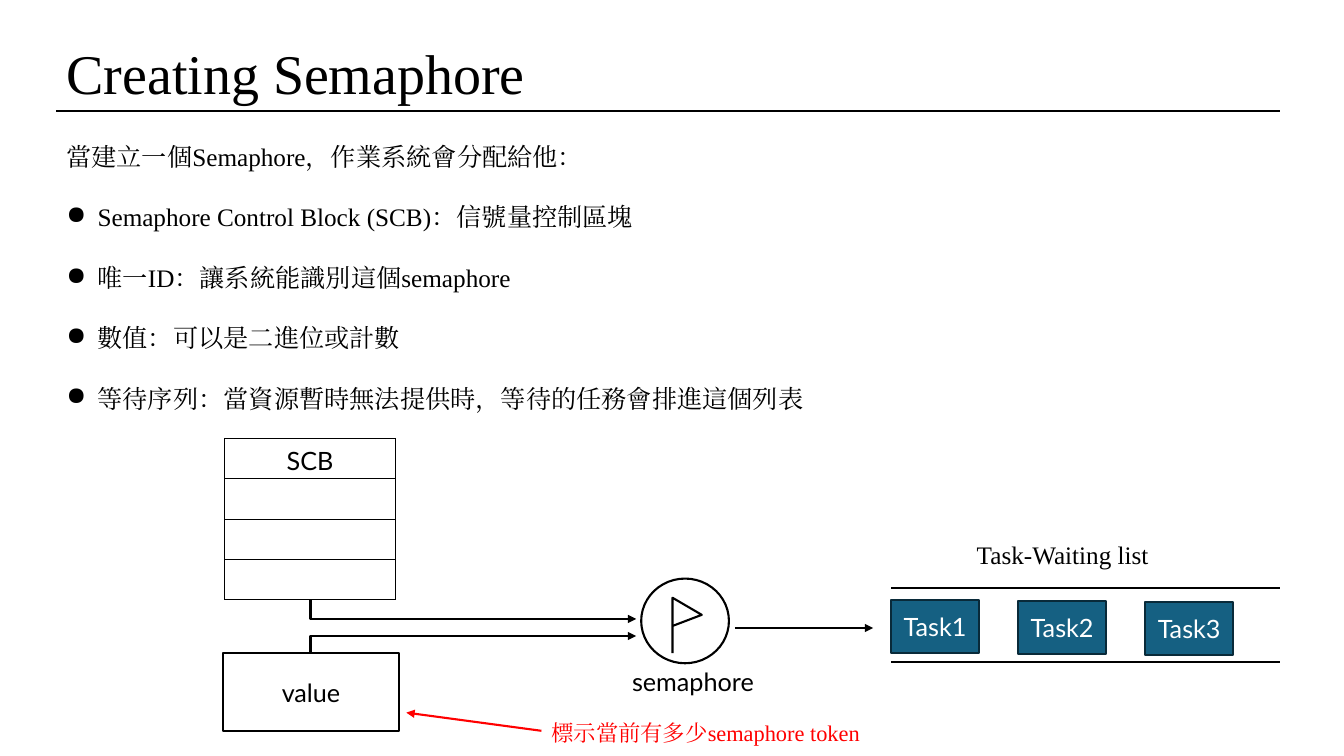
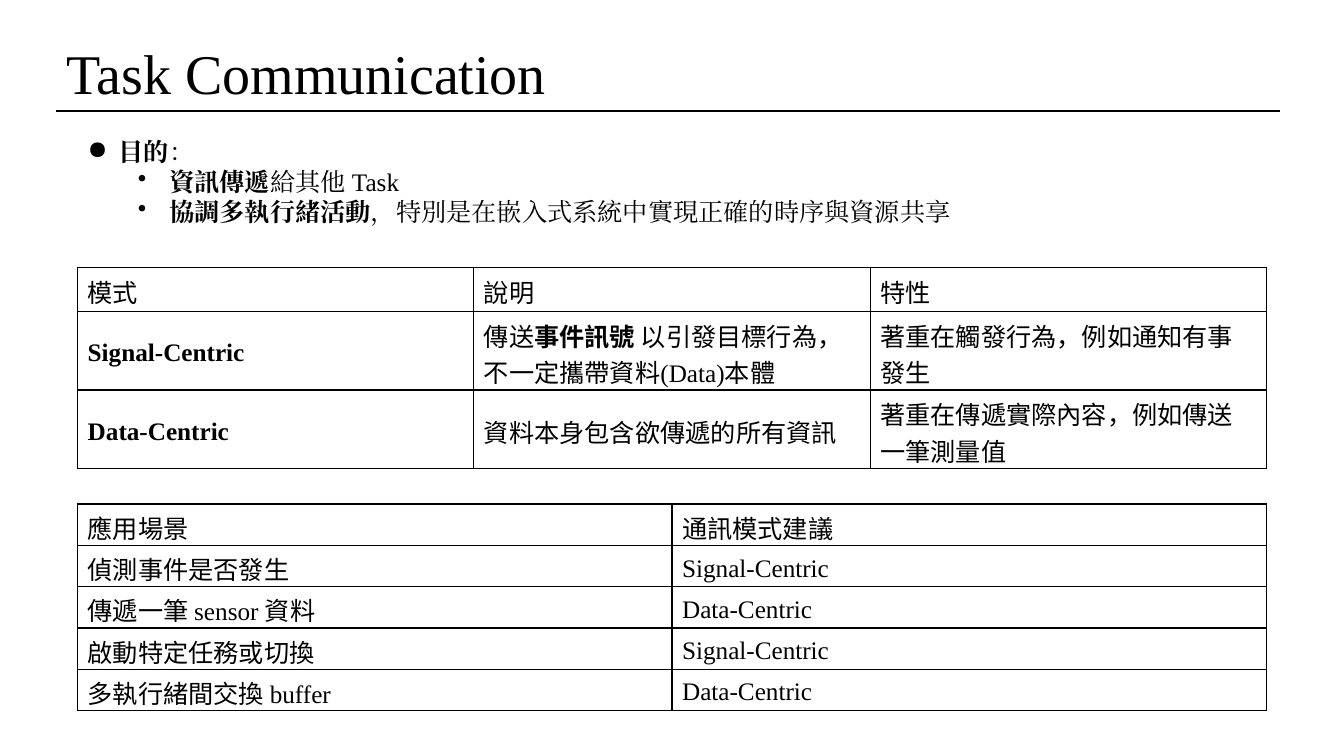
from lxml.etree import SubElement
from pptx import Presentation
from pptx.dml.color import RGBColor
from pptx.enum.shapes import MSO_CONNECTOR, MSO_SHAPE
from pptx.enum.text import MSO_ANCHOR, MSO_AUTO_SIZE, PP_ALIGN
from pptx.oxml.ns import qn
from pptx.util import Inches, Pt

BLACK, WHITE, RED = "000000", "FFFFFF", "FF0000"
TASK_FILL, TASK_EDGE = "156082", "092A39"
SERIF, SANS, CJK = "Times New Roman", "Lato", "Noto Sans CJK SC"
LINE_WIDTH = 1.5
LEFT, RIGHT, RULE_Y = 0.56, 12.7, 1.1
LINE_FACTOR = 1.2


def rgb(value):
    return RGBColor.from_string(value)


def write(frame, lines, size=18, font=SERIF, color=BLACK, align=PP_ALIGN.LEFT, east_asian=SERIF):
    """Fill a text frame; a part of a line between ** marks is bold."""
    frame.word_wrap = True
    for index, line in enumerate(lines):
        para = frame.paragraphs[0] if index == 0 else frame.add_paragraph()
        para.alignment = align
        for position, part in enumerate(line.split("**")):
            if not part:
                continue
            span = para.add_run()
            span.text = part
            span.font.size = Pt(size)
            span.font.bold = position % 2 == 1
            span.font.color.rgb = rgb(color)
            span.font.name = font
            SubElement(span.font._element, qn("a:ea"), typeface=east_asian)


def add_text(shapes, box, lines, **style):
    frame = shapes.add_textbox(*map(Inches, box)).text_frame
    write(frame, lines, **style)
    return frame


def space_lines(para, size=18, after=0):
    para.line_spacing = Pt(size * LINE_FACTOR)
    para.space_after = Pt(after)


def add_bullet(para, char, indent, hanging=0.31):
    props = para._p.get_or_add_pPr()
    props.set("marL", str(Inches(indent)))
    props.set("indent", str(-Inches(hanging)))
    SubElement(props, qn("a:buChar"), char=char)


def style_line(line, color=BLACK, arrow=False):
    line.color.rgb = rgb(color)
    line.width = Pt(LINE_WIDTH)
    if arrow:
        SubElement(line._get_or_add_ln(), qn("a:tailEnd"), type="triangle")


def add_line(shapes, start, end, color=BLACK, arrow=False):
    connector = shapes.add_connector(MSO_CONNECTOR.STRAIGHT, *map(Inches, start + end))
    style_line(connector.line, color, arrow)
    SubElement(connector._element.spPr, qn("a:effectLst"))


def add_polyline(shapes, points, arrow=False):
    corners = [(Inches(x), Inches(y)) for x, y in points]
    builder = shapes.build_freeform(*corners[0])
    builder.add_line_segments(corners[1:], close=False)
    outline = builder.convert_to_shape()
    outline.shadow.inherit = False
    outline.fill.background()
    style_line(outline.line, arrow=arrow)


def add_block(shapes, kind, box, text="", fill=None, edge=BLACK, color=BLACK):
    block = shapes.add_shape(kind, *map(Inches, box))
    block.shadow.inherit = False
    if fill:
        block.fill.solid()
        block.fill.fore_color.rgb = rgb(fill)
    else:
        block.fill.background()
    style_line(block.line, edge)
    if text:
        block.text_frame.vertical_anchor = MSO_ANCHOR.MIDDLE
        write(block.text_frame, [text], font=SANS, color=color, align=PP_ALIGN.CENTER)


def add_grid(shapes, box, heights, rows, **style):
    """Table with thin black borders, equal columns and no fill."""
    columns = len(rows[0])
    table = shapes.add_table(len(rows), columns, *map(Inches, box)).table
    table.first_row = table.horz_banding = False
    for row, height in zip(table.rows, heights):
        row.height = Inches(height)
    for column in table.columns:
        column.width = Inches(box[2] / columns)
    for row, texts in zip(table.rows, rows):
        for cell, text in zip(row.cells, texts):
            cell.vertical_anchor = MSO_ANCHOR.MIDDLE
            cell.margin_bottom = 0
            write(cell.text_frame, [text], east_asian=CJK, **style)
            props = cell._tc.get_or_add_tcPr()
            for side in ("a:lnL", "a:lnR", "a:lnT", "a:lnB"):
                border = SubElement(props, qn(side), w=str(Pt(1)))
                SubElement(SubElement(border, qn("a:solidFill")), qn("a:srgbClr"), val=BLACK)
            cell.fill.background()


def add_page(deck, heading):
    page = deck.slides.add_slide(deck.slide_layouts[5])
    title = page.shapes.title
    title.left, title.top, title.width, title.height = map(Inches, (LEFT, 0.33, 7.75, 0.77))
    title.text_frame.auto_size = MSO_AUTO_SIZE.NONE
    title.text_frame.vertical_anchor = MSO_ANCHOR.MIDDLE
    write(title.text_frame, [heading], size=40)
    add_line(page.shapes, (LEFT, RULE_Y), (RIGHT, RULE_Y))
    return page.shapes


def add_control_block(shapes, left, top):
    row_height = 0.4
    add_grid(shapes, (left, top, 1.69, 4 * row_height), [row_height] * 4,
             [["SCB"], [""], [""], [""]], font=SANS, align=PP_ALIGN.CENTER)


def add_semaphore(shapes, left, top):
    icon = shapes.add_group_shape().shapes
    add_block(icon, MSO_SHAPE.OVAL, (left, top, 0.87, 0.84))
    pole = left + 0.31
    add_polyline(icon, [(pole, top + 0.74), (pole, top + 0.19),
                        (left + 0.6, top + 0.36), (pole, top + 0.47)])
    add_text(shapes, (left - 0.19, top + 0.82, 1.59, 0.4), ["semaphore"], font=SANS)


def add_waiting_list(shapes, left, top):
    add_text(shapes, (left + 0.16, top - 0.53, 3.08, 0.4), ["Task-Waiting list"],
             align=PP_ALIGN.CENTER)
    for y in (top, top + 0.74):
        add_line(shapes, (left, y), (RIGHT, y))
    for index in range(3):
        box = (left + 1.26 * index, top + 0.12 + 0.01 * index, 0.87, 0.53)
        add_block(shapes, MSO_SHAPE.RECTANGLE, box, f"Task{index + 1}",
                  TASK_FILL, TASK_EDGE, WHITE)


def add_token_note(shapes, left, top):
    frame = add_text(shapes, (left, top, 4.62, 0.37), ["標示當前有多少semaphore token"],
                     size=16, color=RED)
    space_lines(frame.paragraphs[0], 16)
    add_line(shapes, (left, top + 0.16), (left - 1.34, top - 0.02), RED, arrow=True)


def build_semaphore_page(deck):
    shapes = add_page(deck, "Creating Semaphore")
    frame = add_text(shapes, (LEFT, 1.35, 9, 3), [
        "當建立一個Semaphore，作業系統會分配給他：",
        "Semaphore Control Block (SCB)：信號量控制區塊",
        "唯一ID：讓系統能識別這個semaphore",
        "數值：可以是二進位或計數",
        "等待序列：當資源暫時無法提供時，等待的任務會排進這個列表",
    ])
    for index, para in enumerate(frame.paragraphs):
        space_lines(para, after=18 * LINE_FACTOR)
        if index:
            add_bullet(para, "●", 0.31)

    add_control_block(shapes, 2.23, 4.35)
    add_block(shapes, MSO_SHAPE.RECTANGLE, (2.21, 6.48, 1.75, 0.77), "value")
    for start_y, lane_y in ((5.95, 6.14), (6.48, 6.31)):
        add_polyline(shapes, [(3.08, start_y), (3.08, lane_y), (6.31, lane_y)], arrow=True)
    add_semaphore(shapes, 6.36, 5.74)
    add_line(shapes, (7.29, 6.23), (8.66, 6.23), arrow=True)
    add_waiting_list(shapes, 8.84, 5.83)
    add_token_note(shapes, 5.37, 7.09)


def build_communication_page(deck):
    shapes = add_page(deck, "Task Communication")
    frame = add_text(shapes, (0.77, 1.3, 12.14, 1.01), [
        "**目的**：",
        "**資訊傳遞**給其他 Task",
        "**協調多執行緒活動**，特別是在嵌入式系統中實現正確的時序與資源共享",
    ])
    for index, para in enumerate(frame.paragraphs):
        space_lines(para)
        para.level = 1 if index else 0
        add_bullet(para, *(("•", 0.81) if index else ("●", 0.31)))

    left, width = 0.77, 11.79
    add_grid(shapes, (left, 2.65, width, 2), [0.44, 0.78, 0.78], [
        ["模式", "說明", "特性"],
        ["**Signal-Centric**", "傳送**事件訊號** 以引發目標行為，不一定攜帶資料(Data)本體",
         "著重在觸發行為，例如通知有事發生"],
        ["**Data-Centric**", "資料本身包含欲傳遞的所有資訊",
         "著重在傳遞實際內容，例如傳送一筆測量值"],
    ])
    add_grid(shapes, (left, 5, width, 2.05), [0.41] * 5, [
        ["應用場景", "通訊模式建議"],
        ["偵測事件是否發生", "Signal-Centric"],
        ["傳遞一筆 sensor 資料", "Data-Centric"],
        ["啟動特定任務或切換", "Signal-Centric"],
        ["多執行緒間交換 buffer", "Data-Centric"],
    ])


def main():
    deck = Presentation()
    deck.slide_width, deck.slide_height = Inches(13.33), Inches(7.5)
    build_semaphore_page(deck)
    build_communication_page(deck)
    deck.save("out.pptx")


if __name__ == "__main__":
    main()
